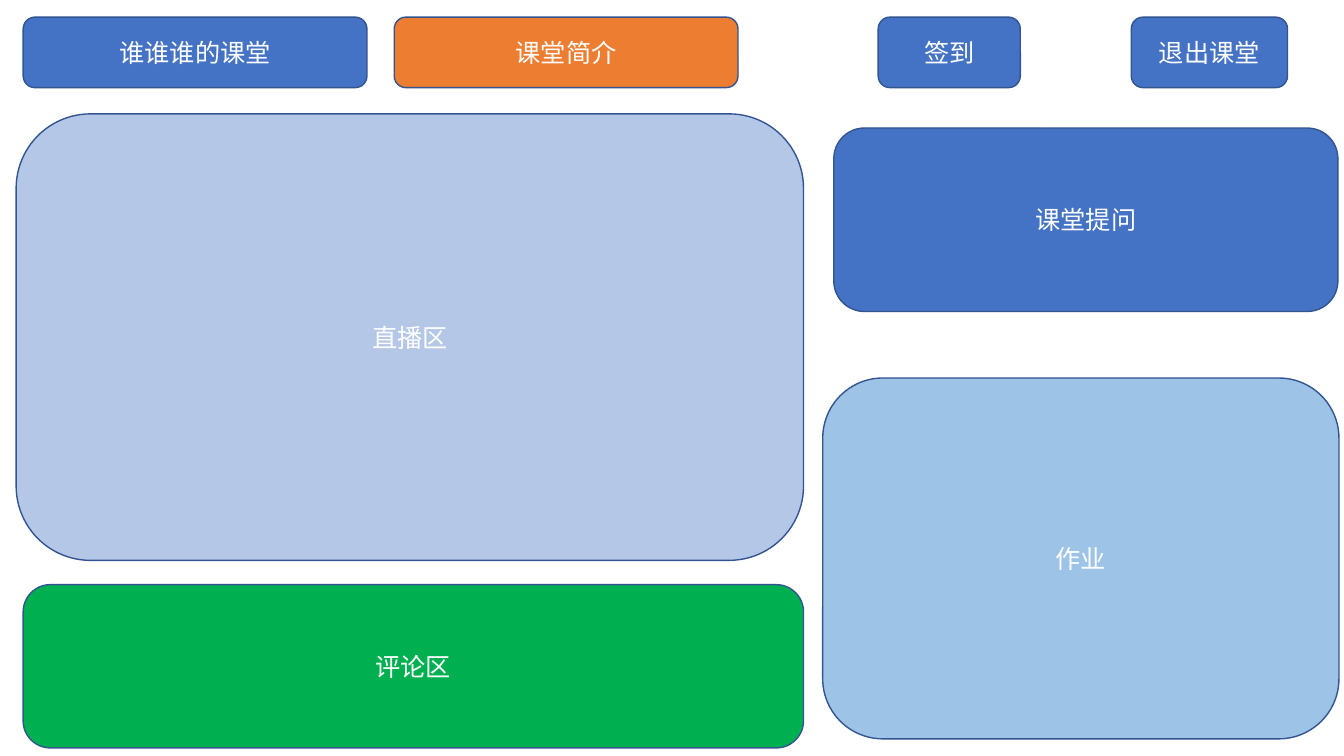
from lxml.etree import SubElement
from pptx import Presentation
from pptx.dml.color import RGBColor
from pptx.enum.shapes import MSO_SHAPE
from pptx.enum.text import MSO_ANCHOR, PP_ALIGN
from pptx.oxml.ns import qn
from pptx.util import Inches, Pt

BLUE = "4472C4"
ORANGE = "ED7D31"
PALE = "B4C7E7"
GREEN = "00B050"
SKY = "9DC3E6"


def paint(target, color):
    """Give a fill, line fill or font its colour."""
    if hasattr(target, "solid"):
        target.solid()
        target.fore_color.rgb = RGBColor.from_string(color)
    else:
        target.color.rgb = RGBColor.from_string(color)


def write(frame, text, size=18, color="FFFFFF", font="Noto Sans CJK SC",
          align=PP_ALIGN.CENTER, anchor=MSO_ANCHOR.MIDDLE):
    frame.word_wrap = True
    frame.vertical_anchor = anchor
    para = frame.paragraphs[0]
    para.alignment = align
    run = para.add_run()
    run.text = text
    run.font.size = Pt(size)
    paint(run.font, color)
    run.font.name = font
    # Chinese text takes its typeface from the East Asian slot
    SubElement(run.font._element, qn("a:ea")).set("typeface", font)


class Board:
    """Style and current slide of the classroom screen."""
    edge = "325491"
    weight = 1

    def __init__(self, slide):
        self.slide = slide

    def panel(self, text, left, top, width, height, color):
        box = self.slide.shapes.add_shape(
            MSO_SHAPE.ROUNDED_RECTANGLE,
            Inches(left), Inches(top), Inches(width), Inches(height))
        box.shadow.inherit = False
        paint(box.fill, color)
        paint(box.line, self.edge)
        box.line.width = Pt(self.weight)
        write(box.text_frame, text)

    def button(self, text, left, width, color=BLUE):
        self.panel(text, left, 0.17, width, 0.7, color)


def main():
    deck = Presentation()
    deck.slide_width = Inches(13.33)
    deck.slide_height = Inches(7.5)
    board = Board(deck.slides.add_slide(deck.slide_layouts[6]))

    # Top bar
    board.button("谁谁谁的课堂", 0.23, 3.41)
    board.button("课堂简介", 3.91, 3.41, ORANGE)
    board.button("签到", 8.71, 1.41)
    board.button("退出课堂", 11.22, 1.55)

    # Live stream and comments
    board.panel("直播区", 0.16, 1.13, 7.81, 4.43, PALE)
    board.panel("评论区", 0.23, 5.8, 7.74, 1.62, GREEN)

    # Questions and homework
    board.panel("课堂提问", 8.27, 1.27, 5, 1.82, BLUE)
    board.panel("作业", 8.16, 3.75, 5.12, 3.58, SKY)

    deck.save("out.pptx")


if __name__ == "__main__":
    main()
